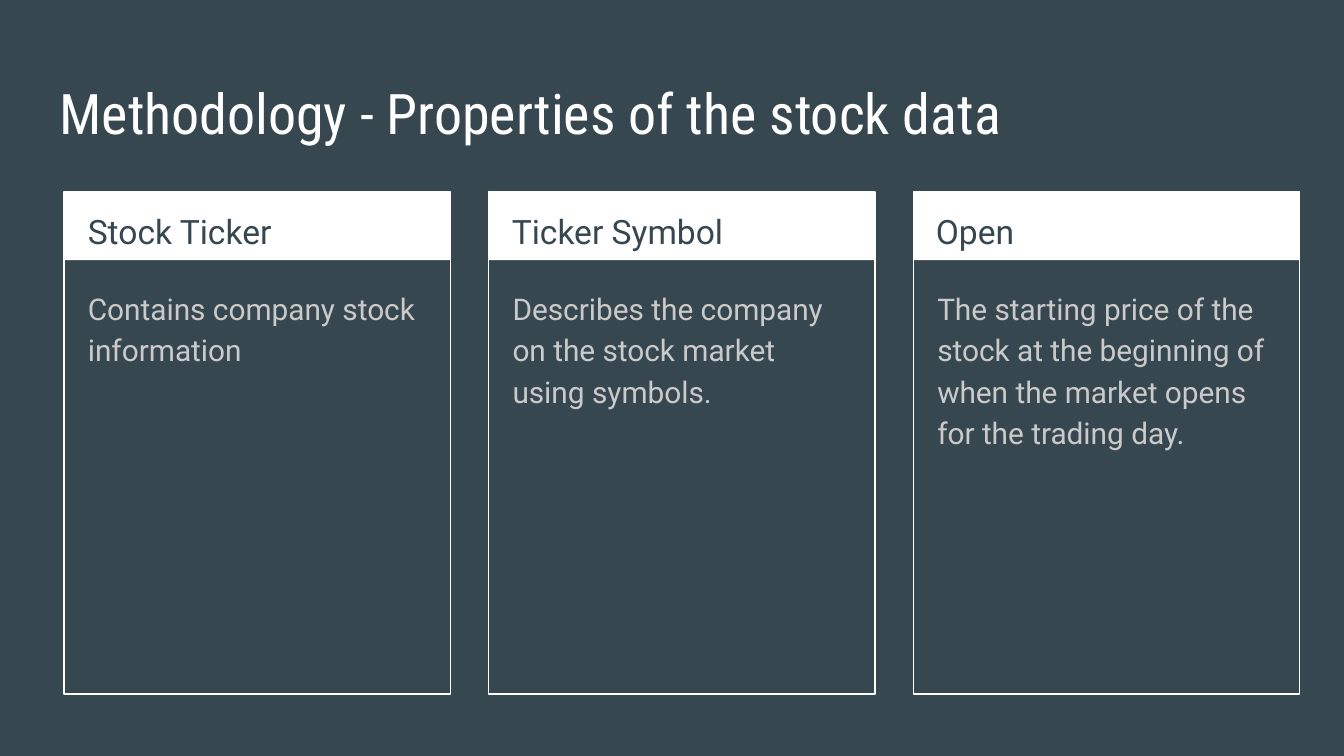
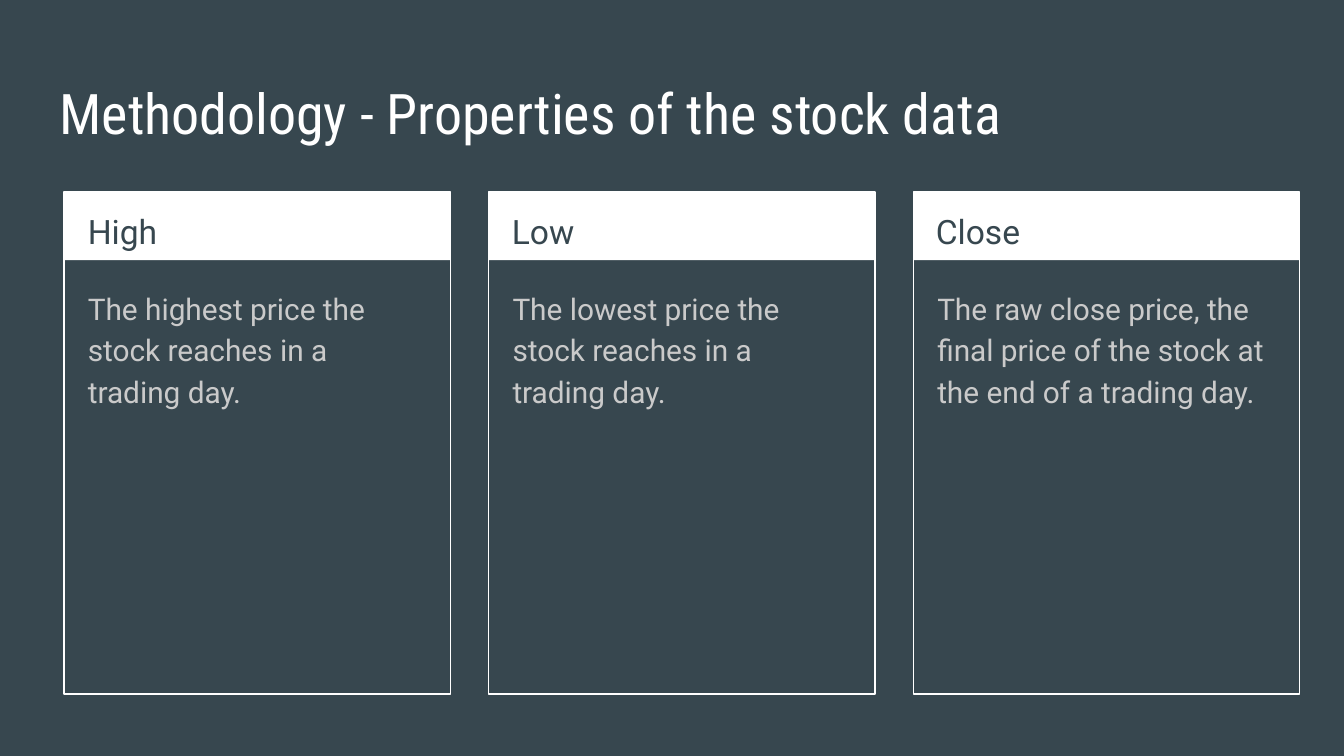
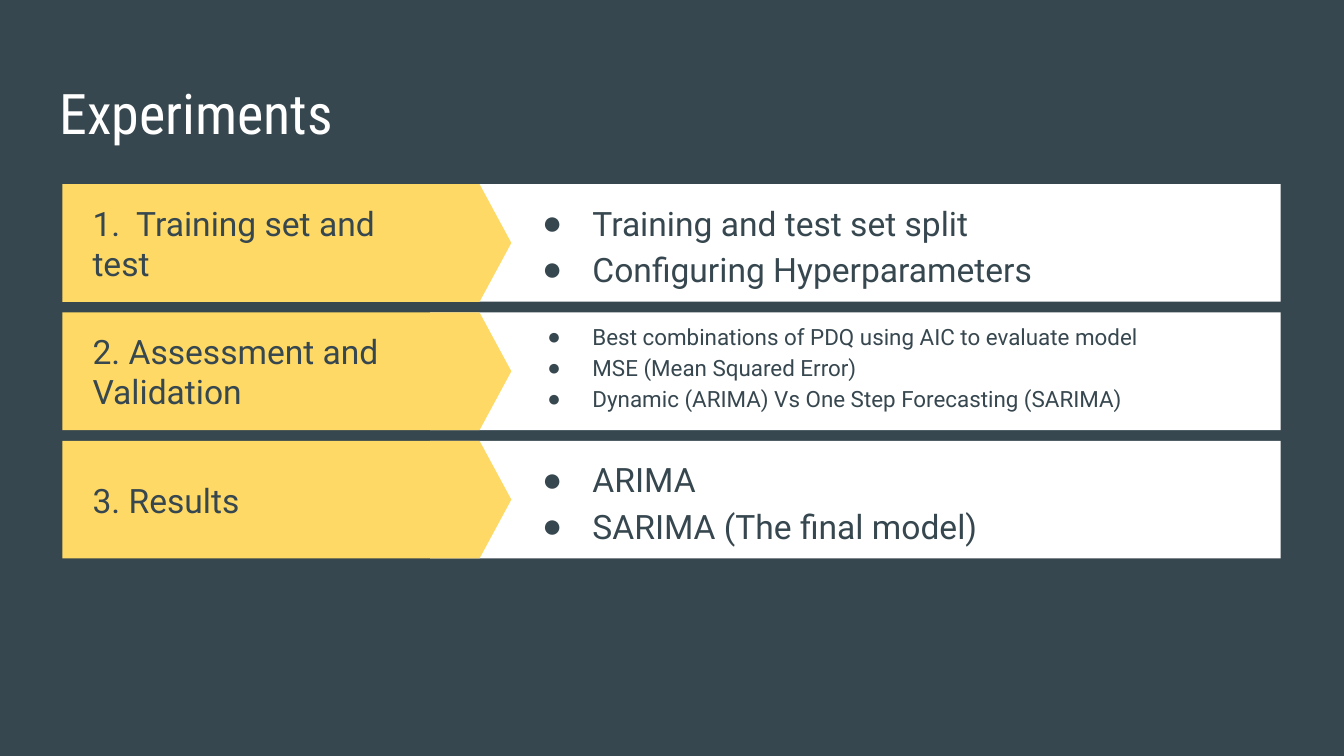
from lxml import etree
from pptx import Presentation
from pptx.dml.color import RGBColor
from pptx.enum.shapes import MSO_SHAPE
from pptx.enum.text import MSO_ANCHOR
from pptx.oxml.ns import qn
from pptx.util import Emu, Pt

RECTANGLE, PENTAGON = MSO_SHAPE.RECTANGLE, MSO_SHAPE.PENTAGON
TOP, MIDDLE = MSO_ANCHOR.TOP, MSO_ANCHOR.MIDDLE

EMU_PER_PX = 4572  # 200 px to the inch
SLATE, WHITE, GREY, YELLOW = "37474F", "FFFFFF", "CACACA", "FFD966"
BODY_FONT, TITLE_FONT, BULLET_FONT = "Roboto", "Roboto Condensed", "Arial"
INSET = 20

CARD_LEFT, CARD_TOP, CARD_STEP = 95, 286, 632
CARD_WIDTH, CARD_HEIGHT, HEADER_HEIGHT = 575, 747, 101
HEADING_LEFT, HEADING_STEP = 111, 631

ROW_TOP, ROW_HEIGHT, ROW_STEP = 274, 175, 191

PROPERTY_PAGES = [
    [
        ("Stock Ticker", "Contains company stock information"),
        ("Ticker Symbol", "Describes the company on the stock market using symbols."),
        ("Open", "The starting price of the stock at the beginning of when the "
                 "market opens for the trading day."),
    ],
    [
        ("High", "The highest price the stock reaches in a trading day."),
        ("Low", "The lowest price the stock reaches in a trading day."),
        ("Close", "The raw close price, the final price of the stock at the end "
                  "of a trading day."),
    ],
]

# label, bullet size, hanging indent, extra bottom inset, bullets
EXPERIMENTS = [
    ("1.  Training set and test", 18, 75, 0,
     ["Training and test set split", "Configuring Hyperparameters"]),
    ("2. Assessment and Validation", 12, 67, 16,
     ["Best combinations of PDQ using AIC to evaluate model",
      "MSE (Mean Squared Error)",
      "Dynamic (ARIMA) Vs One Step Forecasting (SARIMA)"]),
    ("3. Results", 18, 75, 0, ["ARIMA", "SARIMA (The final model)"]),
]


def px(length):
    return Emu(length * EMU_PER_PX)


def color(hex_value):
    return RGBColor.from_string(hex_value)


def add_bullet(para, hang, hex_value):
    """Give a paragraph a round bullet with a hanging indent in px."""
    properties = para._p.get_or_add_pPr()
    properties.set("marL", str(px(100)))
    properties.set("indent", str(px(-hang)))
    bullet_color = etree.SubElement(properties, qn("a:buClr"))
    etree.SubElement(bullet_color, qn("a:srgbClr")).set("val", hex_value)
    etree.SubElement(properties, qn("a:buFont")).set("typeface", BULLET_FONT)
    etree.SubElement(properties, qn("a:buChar")).set("char", "●")


class SlideBuilder:
    """Holds the deck's style and the page being filled."""

    def __init__(self):
        self.deck = Presentation()
        self.deck.slide_width, self.deck.slide_height = px(2000), px(1125)
        self.page = None

    def new_page(self, title):
        self.page = self.deck.slides.add_slide(self.deck.slide_layouts[6])
        background = self.page.background.fill
        background.solid()
        background.fore_color.rgb = color(SLATE)
        self.text(title, 69, 97, 1864, 126, size=30, font=TITLE_FONT, ink=WHITE)

    def text(self, content, left, top, width, height, size=18, font=BODY_FONT,
             ink=SLATE, anchor=TOP, spacing=None, hang=None, extra_bottom=0):
        """Add a text box; a list gives one paragraph for each item."""
        box = self.page.shapes.add_textbox(px(left), px(top), px(width), px(height))
        frame = box.text_frame
        frame.word_wrap = True
        frame.vertical_anchor = anchor
        frame.margin_left = frame.margin_right = frame.margin_top = px(INSET)
        frame.margin_bottom = px(INSET + extra_bottom)
        lines = [content] if isinstance(content, str) else content
        for index, line in enumerate(lines):
            para = frame.add_paragraph() if index else frame.paragraphs[0]
            if spacing:
                para.line_spacing = spacing
            if hang:
                add_bullet(para, hang, ink)
            span = para.add_run()
            span.text = line
            span.font.size = Pt(size)
            span.font.name = font
            span.font.color.rgb = color(ink)

    def shape(self, group, kind, left, top, width, height, fill=None, line=None):
        box = group.shapes.add_shape(kind, px(left), px(top), px(width), px(height))
        box.shadow.inherit = False
        if fill:
            box.fill.solid()
            box.fill.fore_color.rgb = color(fill)
        else:
            box.fill.background()
        if line:
            box.line.color.rgb = color(line)
            box.line.width = Pt(0.75)
        else:
            box.line.fill.background()
        return box

    def card(self, column, heading, description):
        left = CARD_LEFT + column * CARD_STEP
        group = self.page.shapes.add_group_shape()
        self.shape(group, RECTANGLE, left, CARD_TOP, CARD_WIDTH, HEADER_HEIGHT,
                   fill=WHITE)
        self.shape(group, RECTANGLE, left, CARD_TOP, CARD_WIDTH, CARD_HEIGHT,
                   line=WHITE)
        self.text(heading, HEADING_LEFT + column * HEADING_STEP, CARD_TOP - 1,
                  546, 100, spacing=1.15)
        self.text(description, left + 16, CARD_TOP + 119, 542, 612, size=16,
                  ink=GREY, spacing=1.15)

    def experiment_row(self, row, label, size, hang, extra_bottom, bullets):
        top = ROW_TOP + row * ROW_STEP
        group = self.page.shapes.add_group_shape()
        self.shape(group, RECTANGLE, 640, top, 1266, ROW_HEIGHT, fill=WHITE)
        arrow = self.shape(group, PENTAGON, 93, top, 668, ROW_HEIGHT, fill=YELLOW)
        arrow.adjustments[0] = 0.27
        self.text(label, 118, top, 530, ROW_HEIGHT, anchor=MIDDLE)
        self.text(bullets, 762, top, 1118, ROW_HEIGHT, size=size, anchor=MIDDLE,
                  spacing=1.15, hang=hang, extra_bottom=extra_bottom)


def main():
    builder = SlideBuilder()
    for cards in PROPERTY_PAGES:
        builder.new_page("Methodology - Properties of the stock data")
        for column, (heading, description) in enumerate(cards):
            builder.card(column, heading, description)
    builder.new_page("Experiments")
    for row, experiment in enumerate(EXPERIMENTS):
        builder.experiment_row(row, *experiment)
    builder.deck.save("out.pptx")


if __name__ == "__main__":
    main()
